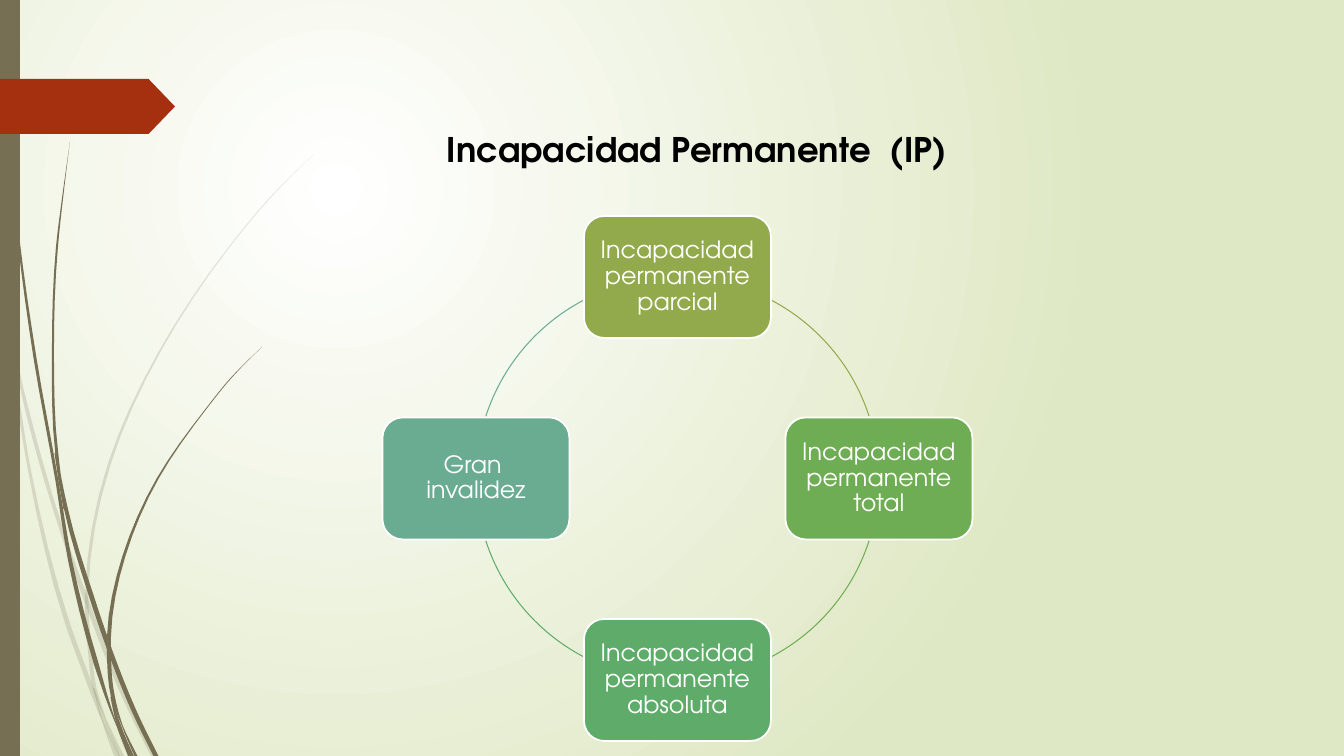
from math import cos, pi, sin

from lxml.etree import SubElement
from pptx import Presentation
from pptx.dml.color import RGBColor
from pptx.enum.shapes import MSO_SHAPE
from pptx.enum.text import MSO_ANCHOR, PP_ALIGN
from pptx.oxml import parse_xml
from pptx.oxml.ns import nsdecls, qn
from pptx.util import Pt

SCALE = 12192000 / 1344
WIDE, HIGH = 1344, 756
FONT = "TeX Gyre Adventor"
BROWN, RED, WHITE = "766F54", "A53010", "FFFFFF"

# Each stalk: knots (x, y, width) from tip to root, and the knots where it is cut.
PALE = [
    ([(1, 290, 4), (10, 353, 3), (17, 395, 3), (30, 473, 3), (68, 625, 5),
      (91, 688, 5), (102, 720, 1), (117, 757, 5)], [1, 6]),
    ([(14, 348, 0), (18, 370, 3), (34, 437, 4), (60, 525, 4), (87, 602, 5),
      (125, 698, 5), (154, 757, 5)], [4]),
    ([(314, 154, 0), (269, 199, 1), (230, 246, 1), (160, 351, 2), (109, 465, 3),
      (87, 590, 3), (87, 615, 4), (90, 651, 4), (95, 690, 4), (105, 717, 1),
      (122, 757, 5)], [5, 6, 9]),
    ([(94, 688, 1), (102, 715, 4), (120, 757, 1)], []),
]
DARK = [
    ([(3, 0, 1), (7, 111, 1), (18, 235, 2), (35, 358, 3), (57, 481, 3),
      (70, 560, 4), (96, 663, 5), (117, 726, 1), (130, 756, 4)], [4, 7]),
    ([(70, 142, 0), (63, 195, 1), (57, 247, 2), (53, 352, 2), (57, 455, 3),
      (60, 476, 2), (66, 509, 4), (91, 595, 5), (109, 648, 5), (135, 713, 5),
      (156, 756, 5)], [5, 8]),
    ([(55, 453, 1), (60, 481, 3), (64, 509, 1)], []),
    ([(262, 347, 0), (232, 377, 1), (206, 409, 1), (158, 478, 2), (124, 556, 3),
      (109, 637, 4), (109, 655, 4), (113, 697, 4), (122, 725, 1),
      (136, 756, 3)], [5, 6, 8]),
    ([(111, 697, 1), (119, 725, 4), (133, 756, 2)], []),
]
NODES = [
    ("Incapacidad permanente parcial", "92AA4C"),
    ("Incapacidad permanente total", "6FAD54"),
    ("Incapacidad permanente absoluta", "5FAC6A"),
    ("Gran  invalidez", "6AAC91"),
]


def px(num):
    return round(num * SCALE)


def color(code):
    return RGBColor.from_string(code)


def paint(shape, fill=None, line=None, width=1):
    shape.shadow.inherit = False
    if fill:
        shape.fill.solid()
        shape.fill.fore_color.rgb = color(fill)
    else:
        shape.fill.background()
    if line:
        shape.line.color.rgb = color(line)
        shape.line.width = Pt(width)
    else:
        shape.line.fill.background()


def add(slide, kind, left, top, width, height):
    return slide.shapes.add_shape(kind, px(left), px(top), px(width), px(height))


def write(frame, text, size, code, bold=False):
    frame.word_wrap = True
    frame.text = text
    para = frame.paragraphs[0]
    para.alignment = PP_ALIGN.CENTER
    font = para.font
    font.name, font.size, font.bold = FONT, Pt(size), bold
    font.color.rgb = color(code)
    return para


def smooth(knots, steps=4):
    """Return points on a Hermite curve, x as a function of y."""
    gaps = [b[1] - a[1] for a, b in zip(knots, knots[1:])]
    rates = [(b[0] - a[0]) / gap for a, b, gap in zip(knots, knots[1:], gaps)]
    inner = [(h * d + g * e) / (g + h)
             for g, h, d, e in zip(gaps, gaps[1:], rates, rates[1:])]
    slopes = [1.5 * rates[0] - inner[0] / 2, *inner,
              1.5 * rates[-1] - inner[-1] / 2]
    points = []
    for i, gap in enumerate(gaps):
        (x, y, w), (u, _, v) = knots[i:i + 2]
        for step in range(steps):
            t = step / steps
            bend = t * (1 - t) * gap * (slopes[i] * (1 - t) - slopes[i + 1] * t)
            points.append((x + (u - x) * t * t * (3 - 2 * t) + bend,
                           y + gap * t, w + (v - w) * t))
    return points + [knots[-1]]


def stalk(slide, knots, cuts, alpha=None, steps=4):
    points = smooth(knots, steps)
    marks = [0, *cuts, len(knots) - 1]
    for start, end in zip(marks, marks[1:]):
        part = points[start * steps:end * steps + 1]
        left = [(px(x - w / 2), px(y)) for x, y, w in part]
        right = [(px(x + w / 2), px(y)) for x, y, w in part]
        form = slide.shapes.build_freeform(*left[0], scale=1.0)
        form.add_line_segments(left[1:] + right[::-1], close=True)
        shape = form.convert_to_shape()
        paint(shape, BROWN)
        if alpha:
            fill = next(shape.element.spPr.iter(qn("a:srgbClr")))
            SubElement(fill, qn("a:alpha")).set("val", str(alpha * 1000))


def backdrop(slide):
    stops = "".join(
        f'<a:gs pos="{pos}"><a:srgbClr val="{code}"/></a:gs>'
        for pos, code in [(0, WHITE), (100000, "DFE8C4")]
    )
    back = parse_xml(
        f'<p:bg {nsdecls("p", "a")}><p:bgPr><a:gradFill rotWithShape="1">'
        f'<a:gsLst>{stops}</a:gsLst><a:path path="circle">'
        '<a:fillToRect l="50000" t="50000" r="100000" b="100000"/></a:path>'
        '</a:gradFill><a:effectLst/></p:bgPr></p:bg>'
    )
    slide.element.cSld.insert(0, back)


def margin(slide):
    """Draw the stalks, side bar and arrow tag on the left."""
    for knots, cuts in PALE:
        stalk(slide, knots, cuts, 20)
    for knots, cuts in DARK:
        stalk(slide, knots, cuts)
    paint(add(slide, MSO_SHAPE.RECTANGLE, 0, 0, 20, HIGH), BROWN)
    tag = add(slide, MSO_SHAPE.PENTAGON, 0, 79, 175, 55)
    tag.adjustments[0] = 0.48
    paint(tag, RED)


def heading(slide, left, top, width, height):
    title = slide.shapes.title
    title.left, title.top = px(left), px(top)
    title.width, title.height = px(width), px(height)
    write(title.text_frame, "Incapacidad Permanente  (IP)", 24.2, "000000", True)
    title.text_frame.vertical_anchor = MSO_ANCHOR.TOP


def cycle(slide, left, top, size):
    """Place the nodes clockwise on a circle, with an arc after each."""
    wide, high = 187, 122
    radius = size / 2
    for i, (text, code) in enumerate(NODES):
        turn = i * pi / 2
        x = left + radius * (1 + sin(turn)) - wide / 2
        y = top + radius * (1 - cos(turn)) - high / 2
        node = add(slide, MSO_SHAPE.ROUNDED_RECTANGLE, x, y, wide, high)
        paint(node, code, WHITE, 1.25)
        frame = node.text_frame
        frame.margin_left = frame.margin_right = px(7)
        frame.margin_top = frame.margin_bottom = px(7)
        frame.vertical_anchor = MSO_ANCHOR.MIDDLE
        write(frame, text, 17, WHITE).line_spacing = 0.9

        arc = add(slide, MSO_SHAPE.ARC, left, top, size, size)
        middle = (-40, 40, 140, 220)[i]
        for j, angle in enumerate((middle - 22, middle + 22)):
            arc.adjustments[j] = angle % 360 * 0.6
        paint(arc, None, code, 0.75)


def main():
    deck = Presentation()
    deck.slide_width, deck.slide_height = px(WIDE), px(HIGH)
    slide = deck.slides.add_slide(deck.slide_layouts[5])
    backdrop(slide)
    margin(slide)
    heading(slide, 336, 124, 722, 57)
    cycle(slide, 476, 277, 403)
    deck.save("out.pptx")


if __name__ == "__main__":
    main()
